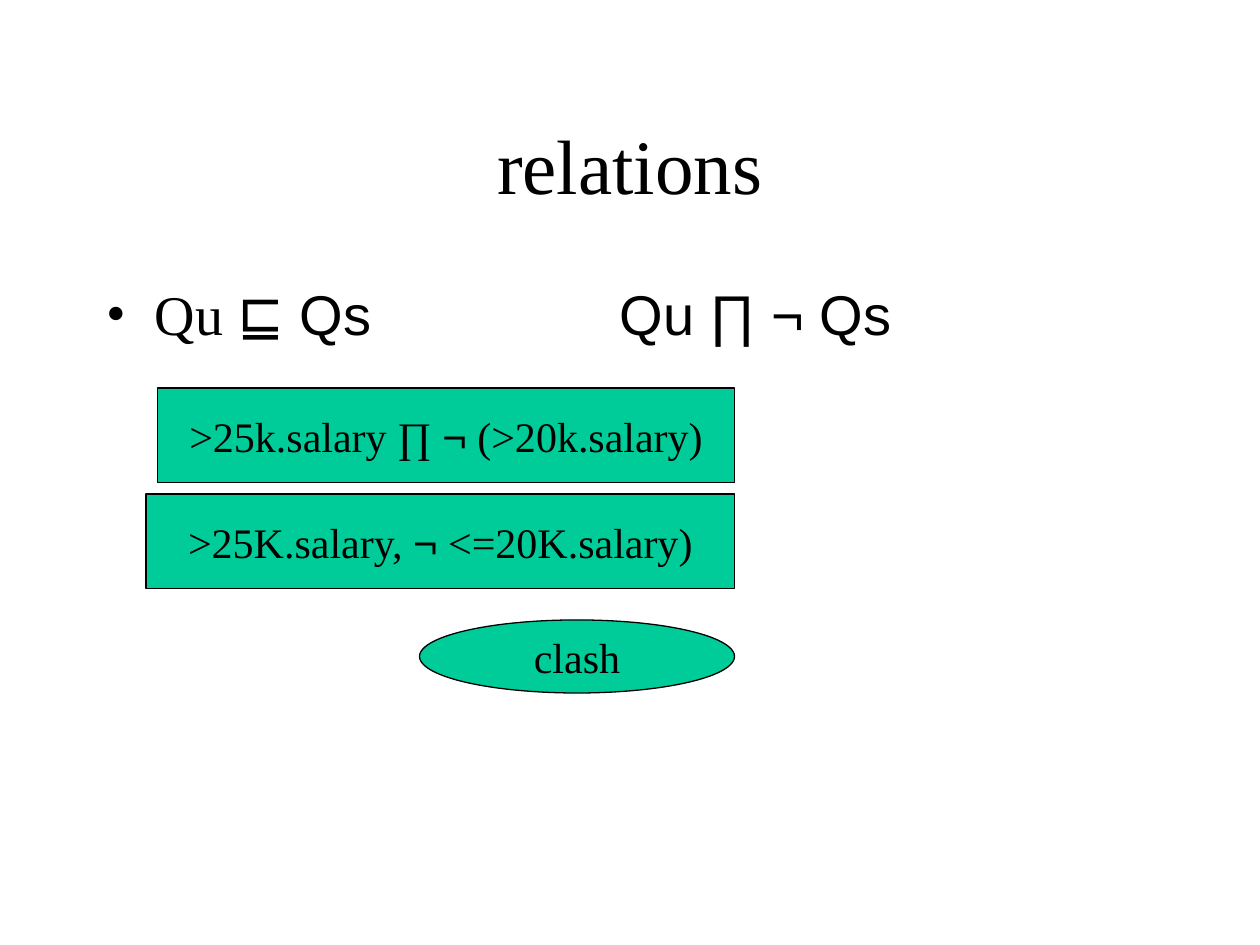
from dataclasses import dataclass

from lxml import etree
from pptx import Presentation
from pptx.dml.color import RGBColor
from pptx.enum.shapes import MSO_SHAPE
from pptx.enum.text import MSO_ANCHOR, PP_ALIGN
from pptx.oxml.ns import qn
from pptx.util import Inches, Pt

RECTANGLE, ELLIPSE = MSO_SHAPE.RECTANGLE, MSO_SHAPE.OVAL
MIDDLE, CENTER = MSO_ANCHOR.MIDDLE, PP_ALIGN.CENTER


@dataclass(frozen=True)
class Theme:
    serif: str = "Times New Roman"
    sans: str = "Arial"
    ink: RGBColor = RGBColor(0x00, 0x00, 0x00)
    green: RGBColor = RGBColor(0x00, 0xCC, 0x99)
    title_size: Pt = Pt(44)
    body_size: Pt = Pt(32)
    label_size: Pt = Pt(24)
    line_width: Pt = Pt(0.75)


THEME = Theme()


def add_runs(paragraph, parts, size):
    """Write (text, font name) pairs into the paragraph."""
    for text, font_name in parts:
        run = paragraph.add_run()
        run.text = text
        run.font.name = font_name
        run.font.size = size
        run.font.color.rgb = THEME.ink


def add_text_box(slide, box):
    text_frame = slide.shapes.add_textbox(*map(Inches, box)).text_frame
    text_frame.word_wrap = True
    return text_frame


def add_title(slide, box, text):
    text_frame = add_text_box(slide, box)
    text_frame.vertical_anchor = MIDDLE
    paragraph = text_frame.paragraphs[0]
    paragraph.alignment = CENTER
    add_runs(paragraph, [(text, THEME.serif)], THEME.title_size)


def add_bullet_columns(slide, box, parts, indent, column):
    """Add a bulleted line whose second column starts at a tab stop."""
    paragraph = add_text_box(slide, box).paragraphs[0]
    properties = paragraph._p.get_or_add_pPr()
    properties.set("marL", str(Inches(indent)))
    properties.set("indent", str(-Inches(indent)))
    etree.SubElement(properties, qn("a:buFont"), typeface=THEME.serif)
    etree.SubElement(properties, qn("a:buChar"), char="•")
    tabs = etree.SubElement(properties, qn("a:tabLst"))
    etree.SubElement(tabs, qn("a:tab"), pos=str(Inches(column)), algn="l")
    add_runs(paragraph, parts, THEME.body_size)


def add_label(slide, box, kind, parts):
    shape = slide.shapes.add_shape(kind, *map(Inches, box))
    shape.shadow.inherit = False
    shape.fill.solid()
    shape.fill.fore_color.rgb = THEME.green
    shape.line.color.rgb = THEME.ink
    shape.line.width = THEME.line_width
    text_frame = shape.text_frame
    text_frame.word_wrap = False
    text_frame.vertical_anchor = MIDDLE
    paragraph = text_frame.paragraphs[0]
    paragraph.alignment = CENTER
    add_runs(paragraph, parts, THEME.label_size)


def add_derivation(slide, right, top):
    """Stack the two formulas and the clash, aligned on their right edge."""
    serif, negation = THEME.serif, ("¬", THEME.sans)
    steps = [
        (0, 4.58, 0.75, RECTANGLE,
         [(">25k.salary ∏ ", serif), negation, (" (>20k.salary)", serif)]),
        (0.84, 4.67, 0.75, RECTANGLE,
         [(">25K.salary, ", serif), negation, (" <=20K.salary)", serif)]),
        (1.84, 2.5, 0.58, ELLIPSE, [("clash", serif)]),
    ]
    for offset, width, height, kind, parts in steps:
        add_label(slide, (right - width, top + offset, width, height), kind, parts)


def main():
    presentation = Presentation()
    presentation.slide_width = Inches(10)
    presentation.slide_height = Inches(7.5)
    slide = presentation.slides.add_slide(presentation.slide_layouts[6])
    add_title(slide, (0.75, 0.67, 8.5, 1.25), "relations")
    add_bullet_columns(
        slide, (0.75, 2.17, 8.5, 4.5),
        [("Qu ", THEME.serif), ("⊑ Qs\tQu ∏ ¬ Qs", THEME.sans)],
        indent=0.38, column=4.07)
    add_derivation(slide, right=5.83, top=3.08)
    presentation.save("out.pptx")


if __name__ == "__main__":
    main()
